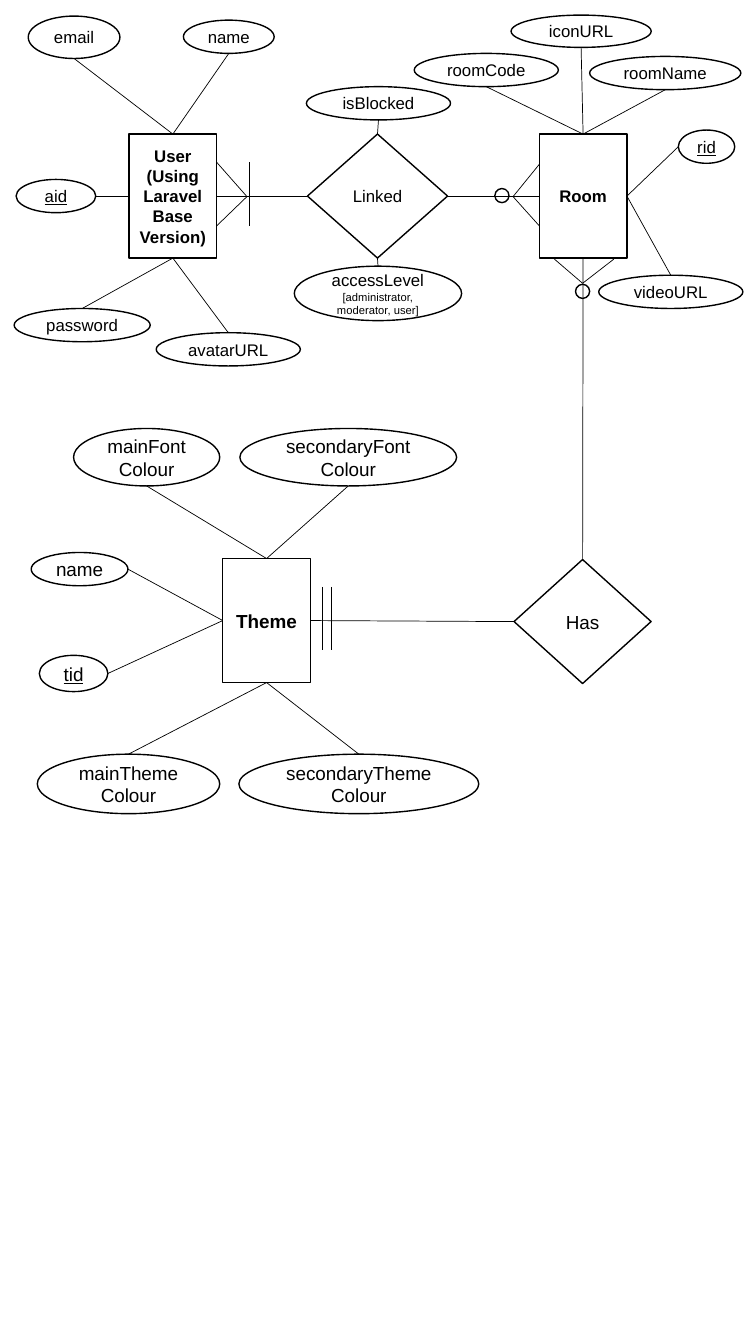
from lxml.etree import SubElement
from pptx import Presentation
from pptx.dml.color import RGBColor
from pptx.enum.shapes import MSO_CONNECTOR, MSO_SHAPE
from pptx.enum.text import MSO_ANCHOR, PP_ALIGN
from pptx.oxml.ns import qn
from pptx.util import Inches, Pt

COLOURS = {"ink": "000000"}
FONT = "Arial"
TOP, LEFT, BOTTOM, RIGHT = range(4)
SMALL, LARGE = 12, 13.5

ENTITIES = {
    "User": ("User (Using Laravel Base Version)", (1.28, 1.33), SMALL),
    "Room": ("Room", (5.35, 1.33), SMALL),
    "Theme": ("Theme", (2.21, 5.54), LARGE),
}
RELATIONSHIPS = {
    "Linked": ((3.05, 1.33, 1.39, 1.23), SMALL),
    "Has": ((5.1, 5.55, 1.36, 1.23), LARGE),
}
# owner: (label, box, side of the attribute, side of the owner, is key)
ATTRIBUTES = {
    "User": [
        ("email", (0.28, 0.16, 0.91, 0.42), BOTTOM, TOP, False),
        ("name", (1.82, 0.2, 0.9, 0.33), BOTTOM, TOP, False),
        ("aid", (0.16, 1.78, 0.79, 0.33), RIGHT, LEFT, True),
        ("password", (0.14, 3.06, 1.35, 0.33), TOP, BOTTOM, False),
        ("avatarURL", (1.55, 3.3, 1.43, 0.33), TOP, BOTTOM, False),
    ],
    "Room": [
        ("roomCode", (4.11, 0.53, 1.43, 0.33), BOTTOM, TOP, False),
        ("iconURL", (5.07, 0.15, 1.39, 0.32), BOTTOM, TOP, False),
        ("roomName", (5.85, 0.56, 1.5, 0.33), BOTTOM, TOP, False),
        ("rid", (6.73, 1.29, 0.56, 0.33), LEFT, RIGHT, True),
        ("videoURL", (5.94, 2.73, 1.43, 0.33), TOP, RIGHT, False),
    ],
    "Theme": [
        ("mainFont\nColour", (0.73, 4.25, 1.45, 0.57), BOTTOM, TOP, False),
        ("secondaryFont\nColour", (2.38, 4.25, 2.15, 0.57), BOTTOM, TOP, False),
        ("name", (0.31, 5.48, 0.96, 0.33), RIGHT, LEFT, False),
        ("tid", (0.39, 6.5, 0.68, 0.36), RIGHT, LEFT, True),
        ("mainTheme\nColour", (0.37, 7.48, 1.81, 0.59), TOP, BOTTOM, False),
        ("secondaryTheme\nColour", (2.37, 7.48, 2.38, 0.59), TOP, BOTTOM, False),
    ],
    "Linked": [
        ("isBlocked", (3.04, 0.86, 1.43, 0.33), BOTTOM, TOP, False),
        ("accessLevel", (2.92, 2.64, 1.66, 0.54), TOP, BOTTOM, False),
    ],
}
RELATIONSHIP_ENDS = [
    ("User", RIGHT, "Linked", LEFT),
    ("Linked", RIGHT, "Room", LEFT),
    ("Has", TOP, "Room", BOTTOM),
    ("Theme", RIGHT, "Has", LEFT),
]
CROWS_FEET = [
    [(2.15, 1.61), (2.45, 1.95), (2.15, 2.24)],
    [(5.35, 1.63), (5.09, 1.95), (5.35, 2.24)],
    [(5.5, 2.57), (5.78, 2.81), (6.09, 2.57)],
]
ONE_BARS = [(2.47, 1.61), (3.2, 5.82), (3.29, 5.82)]
BAR_HEIGHT = 0.63
ZERO_CIRCLES = [(4.91, 1.87), (5.71, 2.82)]


def colour(name):
    return RGBColor.from_string(COLOURS[name])


def write_text(paragraph, text, size=SMALL, bold=False, underline=False):
    paragraph.alignment = PP_ALIGN.CENTER
    for index, line in enumerate(text.split("\n")):
        if index:
            paragraph.add_line_break()
        run = paragraph.add_run()
        run.text = line
        font = run.font
        font.name = FONT
        font.size = Pt(size)
        font.bold = bold
        font.underline = underline
        font.color.rgb = colour("ink")


def add_outline(slide, kind, box, text="", **text_format):
    shape = slide.shapes.add_shape(kind, *map(Inches, box))
    shape.shadow.inherit = False
    shape.fill.background()
    shape.line.color.rgb = colour("ink")
    shape.line.width = Pt(1)
    frame = shape.text_frame
    frame.word_wrap = True
    frame.vertical_anchor = MSO_ANCHOR.MIDDLE
    frame.margin_left = frame.margin_right = Inches(0.05)
    frame.margin_top = frame.margin_bottom = 0
    if text:
        write_text(frame.paragraphs[0], text, **text_format)
    return shape


def add_line(slide, start, end):
    line = slide.shapes.add_connector(MSO_CONNECTOR.STRAIGHT, *start, *end)
    line.line.color.rgb = colour("ink")
    line.line.width = Pt(0.5)
    SubElement(line._element.spPr, qn("a:effectLst"))
    return line


def side_point(shape, side):
    middle_x = shape.left + shape.width // 2
    middle_y = shape.top + shape.height // 2
    return {
        TOP: (middle_x, shape.top),
        LEFT: (shape.left, middle_y),
        BOTTOM: (middle_x, shape.top + shape.height),
        RIGHT: (shape.left + shape.width, middle_y),
    }[side]


def join(slide, start, start_side, end, end_side):
    line = add_line(slide, side_point(start, start_side), side_point(end, end_side))
    if start.auto_shape_type != MSO_SHAPE.OVAL:
        line.begin_connect(start, start_side)
    line.end_connect(end, end_side)


def add_attributes(slide, owner, attributes, size):
    for label, box, side, owner_side, is_key in attributes:
        oval = add_outline(slide, MSO_SHAPE.OVAL, box, label, size=size, underline=is_key)
        if label == "accessLevel":
            values = oval.text_frame.add_paragraph()
            write_text(values, "[administrator, moderator, user]", size=8)
        join(slide, oval, side, owner, owner_side)


def add_cardinality_marks(slide):
    for foot in CROWS_FEET:
        points = [(Inches(x), Inches(y)) for x, y in foot]
        for start, end in zip(points, points[1:]):
            add_line(slide, start, end)
    for x, y in ONE_BARS:
        add_line(slide, (Inches(x), Inches(y)), (Inches(x), Inches(y + BAR_HEIGHT)))
    for x, y in ZERO_CIRCLES:
        add_outline(slide, MSO_SHAPE.OVAL, (x, y, 0.14, 0.14))


def main():
    presentation = Presentation()
    presentation.slide_width = Inches(7.5)
    presentation.slide_height = Inches(13.33)
    slide = presentation.slides.add_slide(presentation.slide_layouts[6])

    nodes = {}
    for name, (label, corner, size) in ENTITIES.items():
        box = (*corner, 0.87, 1.23)
        nodes[name] = add_outline(slide, MSO_SHAPE.RECTANGLE, box, label, size=size, bold=True)
    for name, (box, size) in RELATIONSHIPS.items():
        nodes[name] = add_outline(slide, MSO_SHAPE.DIAMOND, box, name, size=size)
    for owner, attributes in ATTRIBUTES.items():
        size = LARGE if owner == "Theme" else SMALL
        add_attributes(slide, nodes[owner], attributes, size)
    for start, start_side, end, end_side in RELATIONSHIP_ENDS:
        join(slide, nodes[start], start_side, nodes[end], end_side)
    add_cardinality_marks(slide)

    presentation.save("out.pptx")


if __name__ == "__main__":
    main()
